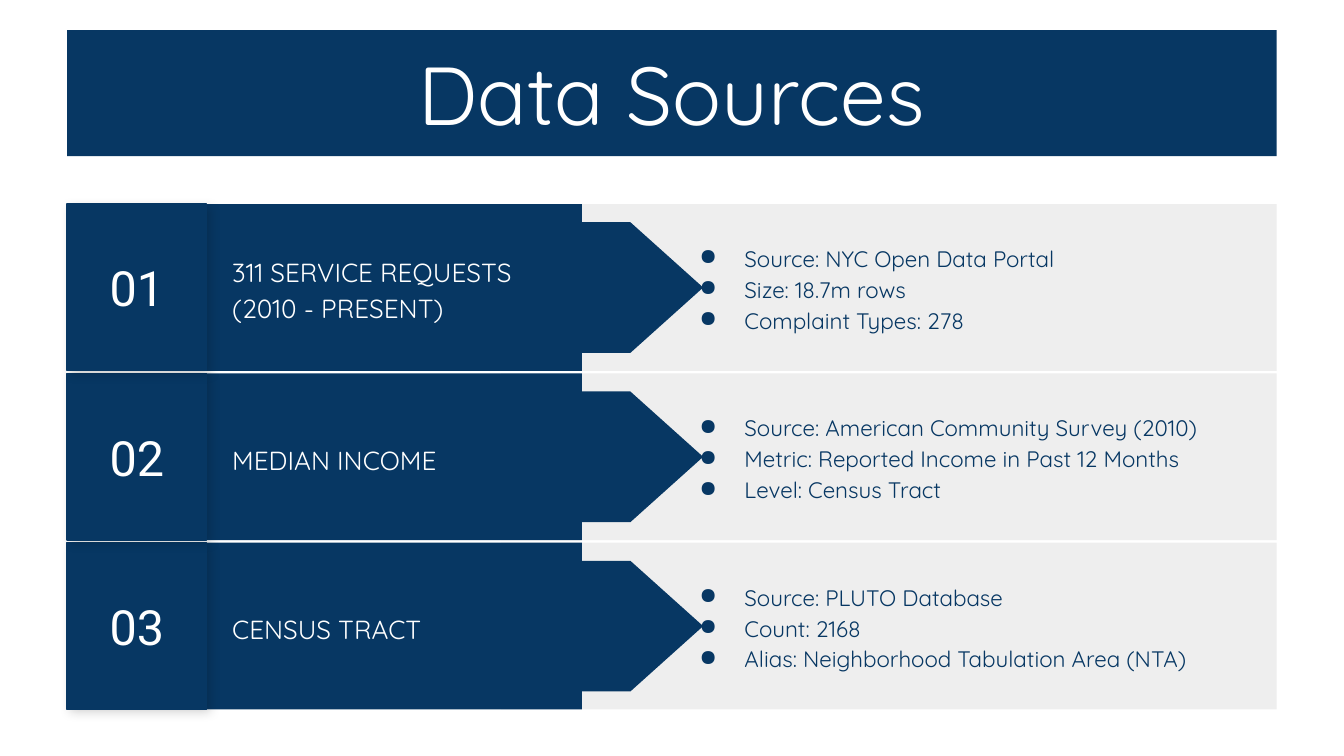
import lxml.etree
import pptx
import pptx.dml.color
import pptx.enum.shapes
import pptx.enum.text
import pptx.oxml.ns
import pptx.util

Cm = pptx.util.Cm
Pt = pptx.util.Pt
KIND = pptx.enum.shapes.MSO_SHAPE
ALIGN = pptx.enum.text.PP_ALIGN
HUES = {"navy": "073763", "pale": "EEEEEE", "dark": "414141", "white": "FFFFFF", "black": "000000"}
ROWS = [
    ("01", ["311 SERVICE REQUESTS", "(2010 - PRESENT)"],
     ["Source: NYC Open Data Portal", "Size: 18.7m rows", "Complaint Types: 278"]),
    ("02", ["MEDIAN INCOME"],
     ["Source: American Community Survey (2010)",
      "Metric: Reported Income in Past 12 Months", "Level: Census Tract"]),
    ("03", ["CENSUS TRACT"],
     ["Source: PLUTO Database", "Count: 2168", "Alias: Neighborhood Tabulation Area (NTA)"]),
]
TOP, STEP, HIGH = 3.86, 3.2, 3.15


def hue(name):
    return pptx.dml.color.RGBColor.from_string(HUES[name])


def node(root, tag, **attrs):
    return lxml.etree.SubElement(root, pptx.oxml.ns.qn(tag), attrs)


class Deck:
    face = "Quicksand"

    def __init__(self):
        self.show = pptx.Presentation()
        self.show.slide_width, self.show.slide_height = Cm(25.4), Cm(14.29)
        self.slide = self.show.slides.add_slide(self.show.slide_layouts[5])
        self.host = self.slide.shapes

    def group(self):
        self.host = self.slide.shapes.add_group_shape().shapes

    def text(self, shape, lines, size, tint="white", face=None, align=ALIGN.LEFT,
             space=1.0, inset=0.25, dots=False):
        frame = shape.text_frame
        frame.word_wrap = True
        frame.auto_size = pptx.enum.text.MSO_AUTO_SIZE.NONE
        frame.vertical_anchor = pptx.enum.text.MSO_ANCHOR.MIDDLE
        frame.margin_left = frame.margin_right = Cm(0.25)
        frame.margin_top = frame.margin_bottom = Cm(inset)
        for i, line in enumerate(lines):
            para = frame.add_paragraph() if i else frame.paragraphs[0]
            para.alignment = align
            para.line_spacing = space
            if dots:
                self.dot(para, tint)
            run = para.add_run()
            run.text = line
            run.font.size = Pt(size)
            run.font.name = face or self.face
            run.font.color.rgb = hue(tint)

    def dot(self, para, tint):
        props = para._p.get_or_add_pPr()
        props.set("marL", str(Cm(1.27)))
        props.set("indent", str(Cm(-0.85)))
        node(node(props, "a:buClr"), "a:srgbClr", val=HUES[tint])
        node(props, "a:buChar", char="●")

    def title(self, text, x, y, w, h):
        head = self.slide.shapes.title
        head.left, head.top, head.width, head.height = Cm(x), Cm(y), Cm(w), Cm(h)
        head.fill.solid()
        head.fill.fore_color.rgb = hue("navy")
        self.text(head, [text], 44, align=ALIGN.CENTER, inset=0.13)

    def block(self, x, y, w, h, tint, kind=KIND.RECTANGLE, edge=False):
        shape = self.host.add_shape(kind, Cm(x), Cm(y), Cm(w), Cm(h))
        shape.shadow.inherit = False
        shape.fill.solid()
        shape.fill.fore_color.rgb = hue(tint)
        if edge:
            shape.line.color.rgb = hue(tint)
            shape.line.width = Pt(0.75)
        else:
            shape.line.fill.background()
        return shape

    def arrow(self, tip, mid, length, width):
        shape = self.block(tip - (length + width) / 2, mid - length / 2, width, length,
                           "navy", KIND.FLOWCHART_OFFPAGE_CONNECTOR)
        shape.rotation = 270

    def shade(self, shape):
        effects = shape._element.spPr.find(pptx.oxml.ns.qn("a:effectLst"))
        cast = node(effects, "a:outerShdw", blurRad=str(Pt(5.6)), dist=str(Pt(2.2)),
                    dir="2700000", algn="tl", rotWithShape="0")
        node(node(cast, "a:srgbClr", val=HUES["black"]), "a:alpha", val="17000")

    def label(self, lines, x, y, w, h, size, tint="white", dots=False):
        box = self.host.add_textbox(Cm(x), Cm(y), Cm(w), Cm(h))
        self.text(box, lines, size, tint, space=1.15, dots=dots)

    def row(self, top, mark, name, facts):
        self.group()
        self.block(9.47, top, 14.66, HIGH, "pale")
        self.block(3.91, top, 7.09, HIGH, "navy")
        self.arrow(13.29, top + HIGH / 2, 6.88, 2.47)
        self.label(name, 4.14, top + 0.38, 7.44, 2.41, 14)
        self.shade(self.block(1.27, top, 2.64, HIGH, "dark"))
        tile = self.block(1.27, top, 2.64, HIGH, "navy", edge=True)
        self.text(tile, [mark], 26, face="Roboto", align=ALIGN.CENTER)
        self.label(facts, 12.55, top, 10.85, HIGH, 12, "navy", dots=True)


def main():
    deck = Deck()
    deck.title("Data Sources", 1.27, 0.57, 22.86, 2.38)
    for i, row in reversed(list(enumerate(ROWS))):
        deck.row(TOP + i * STEP, *row)
    deck.show.save("out.pptx")


if __name__ == "__main__":
    main()
